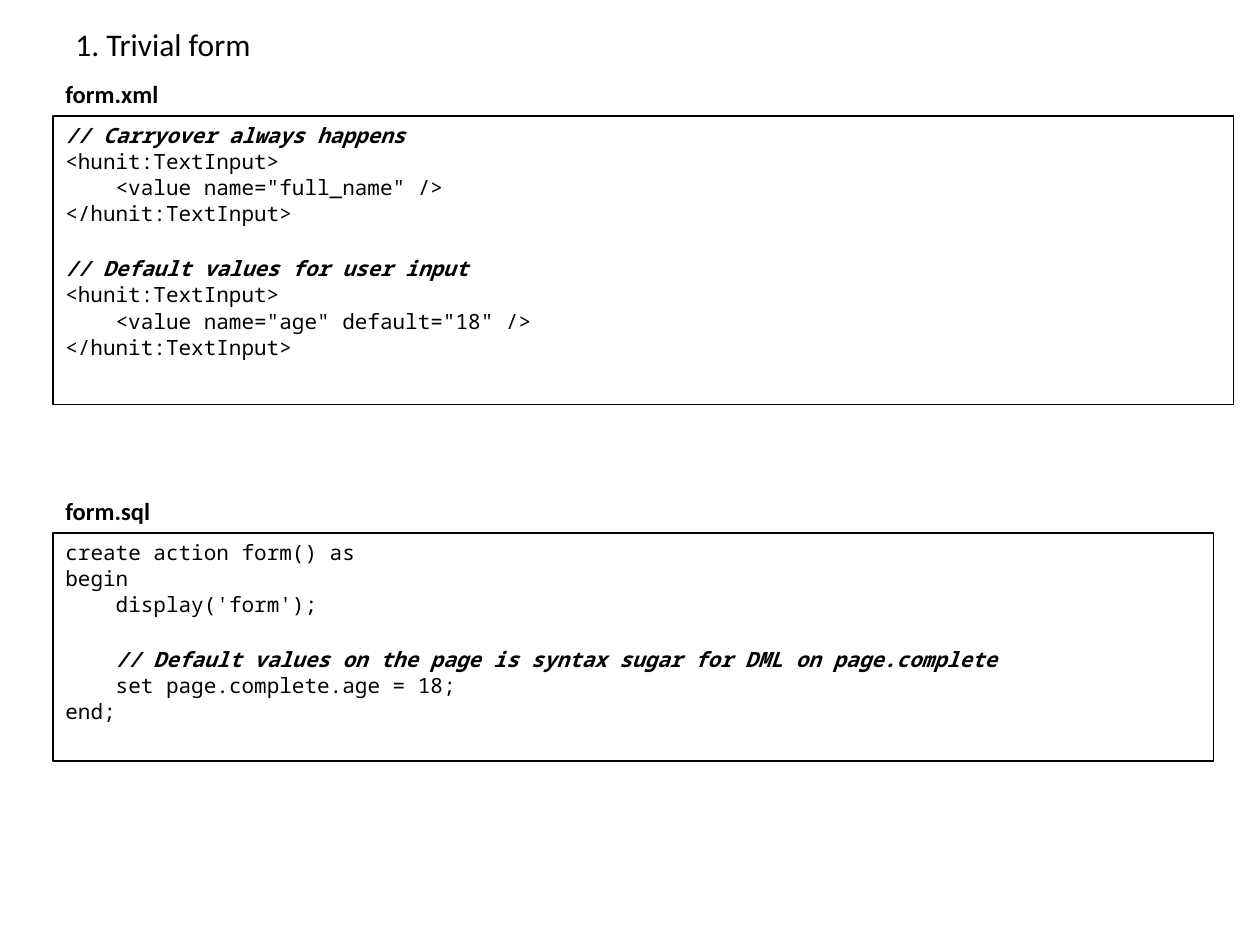
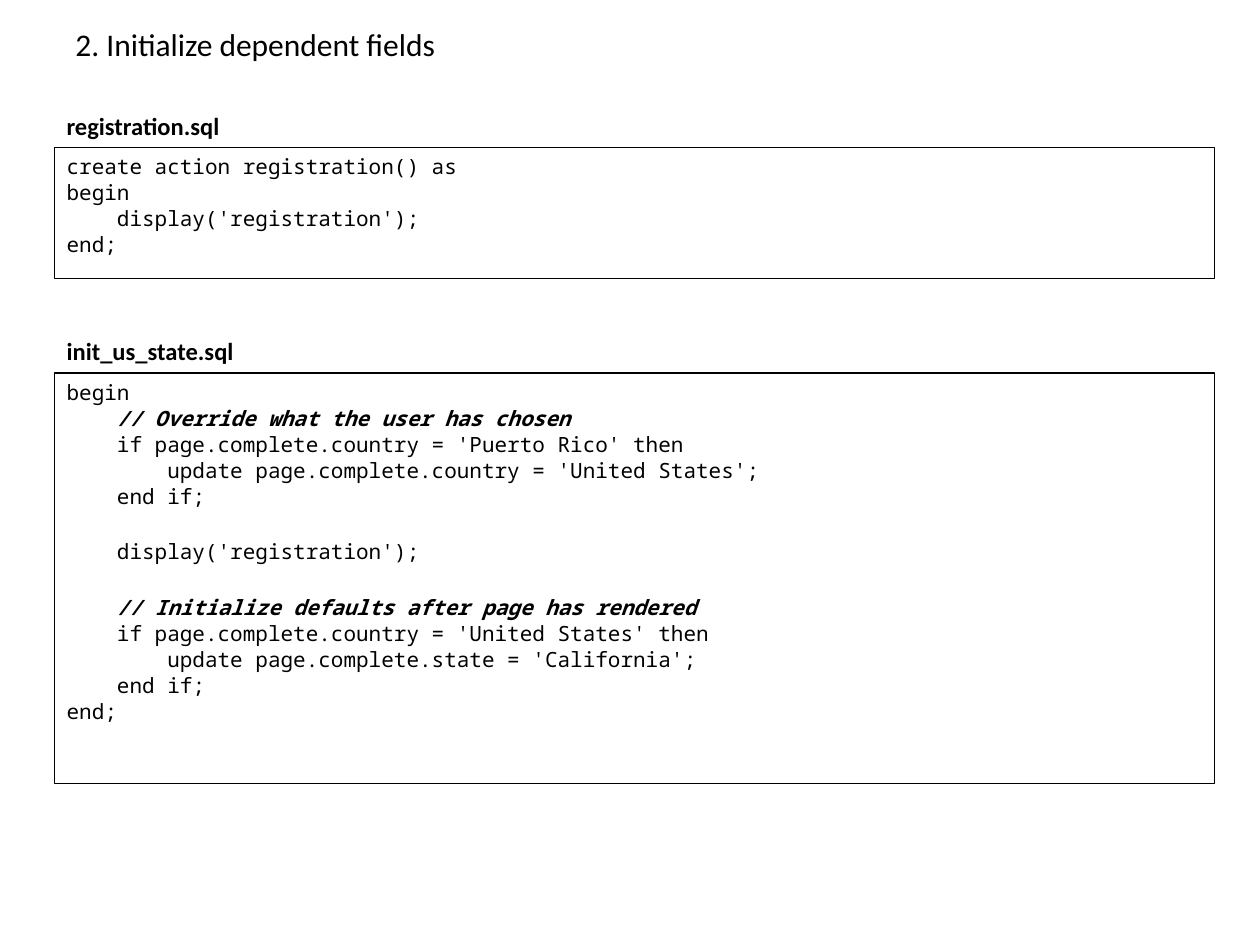
from dataclasses import dataclass

from pptx import Presentation
from pptx.dml.color import RGBColor
from pptx.enum.shapes import MSO_SHAPE
from pptx.enum.text import MSO_ANCHOR, MSO_AUTO_SIZE, PP_ALIGN
from pptx.util import Inches, Pt


@dataclass(frozen=True)
class Theme:
    """Colours, fonts, type sizes and spacing shared by the slides."""
    ink: RGBColor = RGBColor(0, 0, 0)
    heading_font: str = "Calibri"
    code_font: str = "Noto Sans Mono"
    title_size: Pt = Pt(18)
    label_size: Pt = Pt(14)
    code_size: Pt = Pt(12)
    line_gap: Pt = Pt(0.5)
    empty_line_gap: Pt = Pt(17.3)
    border: Pt = Pt(0.75)


@dataclass(frozen=True)
class Listing:
    """A named code file and its box in grid columns and rows."""
    name: str
    name_columns: float
    left: float
    top: float
    columns: float
    rows: float
    code: str


THEME = Theme()
SLIDE_WIDTH, SLIDE_HEIGHT = Inches(10), Inches(7.5)
COLUMN, ROW = SLIDE_WIDTH // 100, SLIDE_HEIGHT // 75
LABEL_ROWS = 3.4

FORM_XML = """\
// Carryover always happens
<hunit:TextInput>
    <value name="full_name" />
</hunit:TextInput>

// Default values for user input
<hunit:TextInput>
    <value name="age" default="18" />
</hunit:TextInput>"""

FORM_SQL = """\
create action form() as
begin
    display('form');

    // Default values on the page is syntax sugar for DML on page.complete
    set page.complete.age = 18;
end;"""

REGISTRATION_SQL = """\
create action registration() as
begin
    display('registration');
end;"""

INIT_STATE_SQL = """\
begin
    // Override what the user has chosen
    if page.complete.country = 'Puerto Rico' then
        update page.complete.country = 'United States';
    end if;

    display('registration');

    // Initialize defaults after page has rendered
    if page.complete.country = 'United States' then
        update page.complete.state = 'California';
    end if;
end;"""

SLIDES = [
    ("1. Trivial form", [
        Listing("form.xml", 9.5, 4.2, 9.2, 93.7, 22.9, FORM_XML),
        Listing("form.sql", 8.8, 4.2, 42.3, 92.1, 18.1, FORM_SQL),
    ]),
    ("2. Initialize dependent fields", [
        Listing("registration.sql", 14.4, 4.3, 11.7, 92.1, 10.4, REGISTRATION_SQL),
        Listing("init_us_state.sql", 15.5, 4.3, 29.6, 92.1, 32.6, INIT_STATE_SQL),
    ]),
]


def place(left, top, columns, rows):
    """Convert a grid box to slide lengths."""
    return int(left * COLUMN), int(top * ROW), int(columns * COLUMN), int(rows * ROW)


def style_runs(paragraph, font_name, size, bold=False, italic=False):
    """Format every run of a paragraph."""
    for run in paragraph.runs:
        run.font.name = font_name
        run.font.size = size
        run.font.bold = bold
        run.font.italic = italic
        run.font.color.rgb = THEME.ink


def add_heading(slide, text, box, size, bold=False, wrap=True):
    """Add a one-line title or file name in the given grid box."""
    shape = slide.shapes.add_textbox(*place(*box))
    frame = shape.text_frame
    frame.text = text
    frame.word_wrap = wrap
    frame.auto_size = MSO_AUTO_SIZE.NONE if wrap else MSO_AUTO_SIZE.SHAPE_TO_FIT_TEXT
    frame.vertical_anchor = MSO_ANCHOR.MIDDLE if wrap else MSO_ANCHOR.TOP
    style_runs(frame.paragraphs[0], THEME.heading_font, size, bold)


def add_code(frame, code):
    """Write code lines, with comments in bold italics and gaps for empty lines."""
    paragraph = frame.paragraphs[0]
    gap = None
    for line in code.splitlines():
        if not line:
            gap = THEME.empty_line_gap
            continue
        if gap is not None:
            paragraph = frame.add_paragraph()
            paragraph.space_before = gap
        paragraph.text = line
        paragraph.alignment = PP_ALIGN.LEFT
        comment = line.lstrip().startswith("//")
        style_runs(paragraph, THEME.code_font, THEME.code_size, comment, comment)
        gap = THEME.line_gap


def add_listing(slide, listing):
    """Add a framed code box with its file name directly above."""
    box = listing.left, listing.top, listing.columns, listing.rows
    shape = slide.shapes.add_shape(MSO_SHAPE.RECTANGLE, *place(*box))
    shape.shadow.inherit = False
    shape.fill.background()
    shape.line.color.rgb = THEME.ink
    shape.line.width = THEME.border
    shape.text_frame.word_wrap = True
    shape.text_frame.vertical_anchor = MSO_ANCHOR.TOP
    add_code(shape.text_frame, listing.code)
    label_box = listing.left, listing.top - LABEL_ROWS, listing.name_columns, LABEL_ROWS
    add_heading(slide, listing.name, label_box, THEME.label_size, bold=True, wrap=False)


def add_code_slide(presentation, title, listings):
    """Add a slide with a title and its code listings."""
    slide = presentation.slides.add_slide(presentation.slide_layouts[6])
    add_heading(slide, title, (5, 1.3, 90, 4.3), THEME.title_size)
    for listing in listings:
        add_listing(slide, listing)


def main():
    """Build and save the presentation."""
    presentation = Presentation()
    presentation.slide_width, presentation.slide_height = SLIDE_WIDTH, SLIDE_HEIGHT
    for title, listings in SLIDES:
        add_code_slide(presentation, title, listings)
    presentation.save("out.pptx")


if __name__ == "__main__":
    main()
